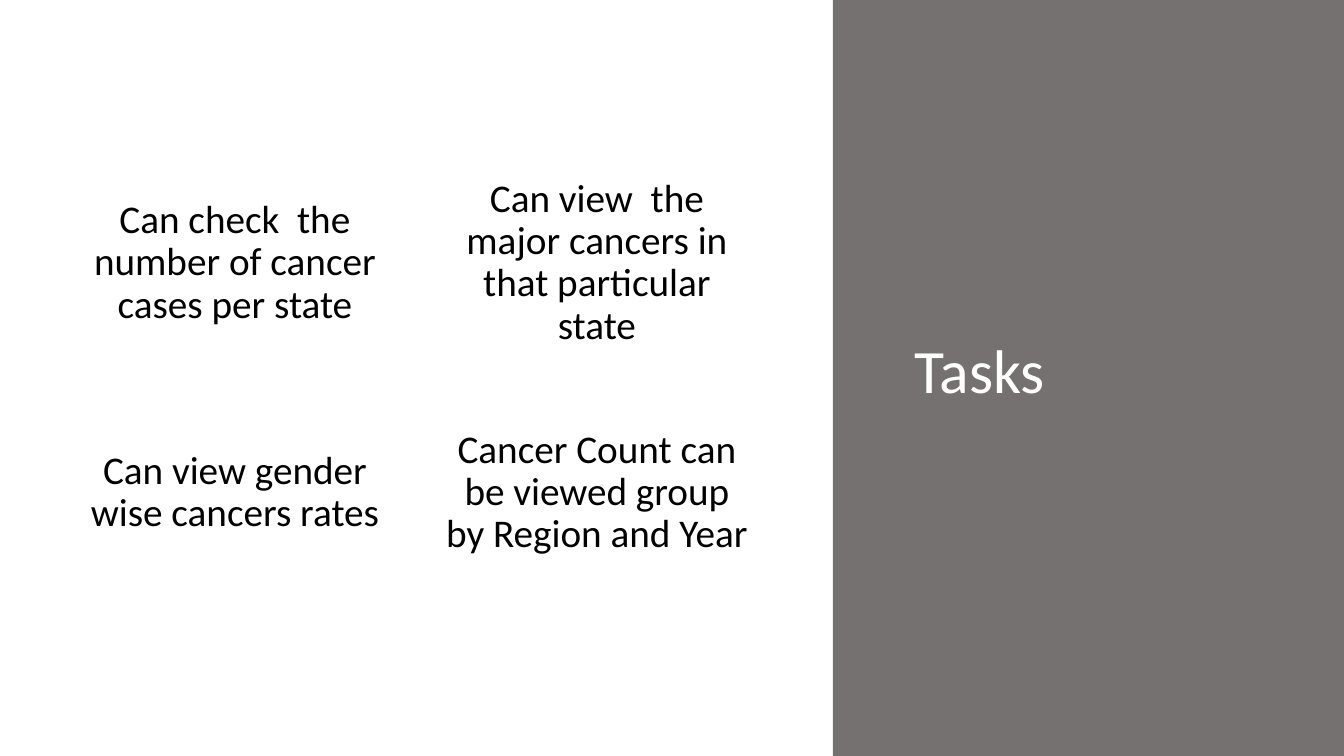
from pptx import Presentation
from pptx.dml.color import RGBColor
from pptx.enum.shapes import MSO_SHAPE
from pptx.enum.text import MSO_ANCHOR, PP_ALIGN
from pptx.util import Inches, Pt

WHITE = RGBColor(0xFF, 0xFF, 0xFF)
BLACK = RGBColor(0x00, 0x00, 0x00)
GRAY = RGBColor(0x76, 0x71, 0x71)

TASKS = [
    "Can check  the number of cancer cases per state",
    "Can view  the major cancers in that particular state",
    "Can view gender wise cancers rates",
    "Cancer Count can be viewed group by Region and Year",
]
COLUMNS = 2
CARD_WIDTH, CARD_HEIGHT = 3.26, 1.96
GRID_LEFT, GRID_TOP = 0.7, 1.63
COLUMN_STEP, ROW_STEP = 3.59, 2.28


def add_rectangle(slide, left, top, width, height, color):
    rectangle = slide.shapes.add_shape(
        MSO_SHAPE.RECTANGLE, Inches(left), Inches(top), Inches(width), Inches(height)
    )
    rectangle.shadow.inherit = False
    rectangle.fill.solid()
    rectangle.fill.fore_color.rgb = color
    rectangle.line.fill.background()
    return rectangle


def write_text(frame, text, size, color, alignment):
    frame.word_wrap = True
    frame.vertical_anchor = MSO_ANCHOR.MIDDLE
    paragraph = frame.paragraphs[0]
    paragraph.alignment = alignment
    paragraph.line_spacing = 0.9
    run = paragraph.add_run()
    run.text = text
    run.font.name = "Calibri"
    run.font.size = Pt(size)
    run.font.color.rgb = color


presentation = Presentation()
presentation.slide_width = Inches(13.33)
presentation.slide_height = Inches(7.5)
slide = presentation.slides.add_slide(presentation.slide_layouts[5])

# Title on the gray side panel, with the panel behind it
side_panel = add_rectangle(slide, 8.26, 0, 5.07, 7.5, GRAY)
title = slide.shapes.title
title.element.addprevious(side_panel.element)
title.left, title.top = Inches(8.97), Inches(0.7)
title.width, title.height = Inches(4.01), Inches(6.02)
write_text(title.text_frame, "Tasks", 44, WHITE, PP_ALIGN.LEFT)

# Task cards
for index, task in enumerate(TASKS):
    row, column = divmod(index, COLUMNS)
    card = add_rectangle(
        slide,
        GRID_LEFT + column * COLUMN_STEP,
        GRID_TOP + row * ROW_STEP,
        CARD_WIDTH,
        CARD_HEIGHT,
        WHITE,
    )
    frame = card.text_frame
    frame.margin_left = frame.margin_right = Inches(0.12)
    frame.margin_top = frame.margin_bottom = Inches(0.12)
    write_text(frame, task, 28, BLACK, PP_ALIGN.CENTER)

presentation.save("out.pptx")
